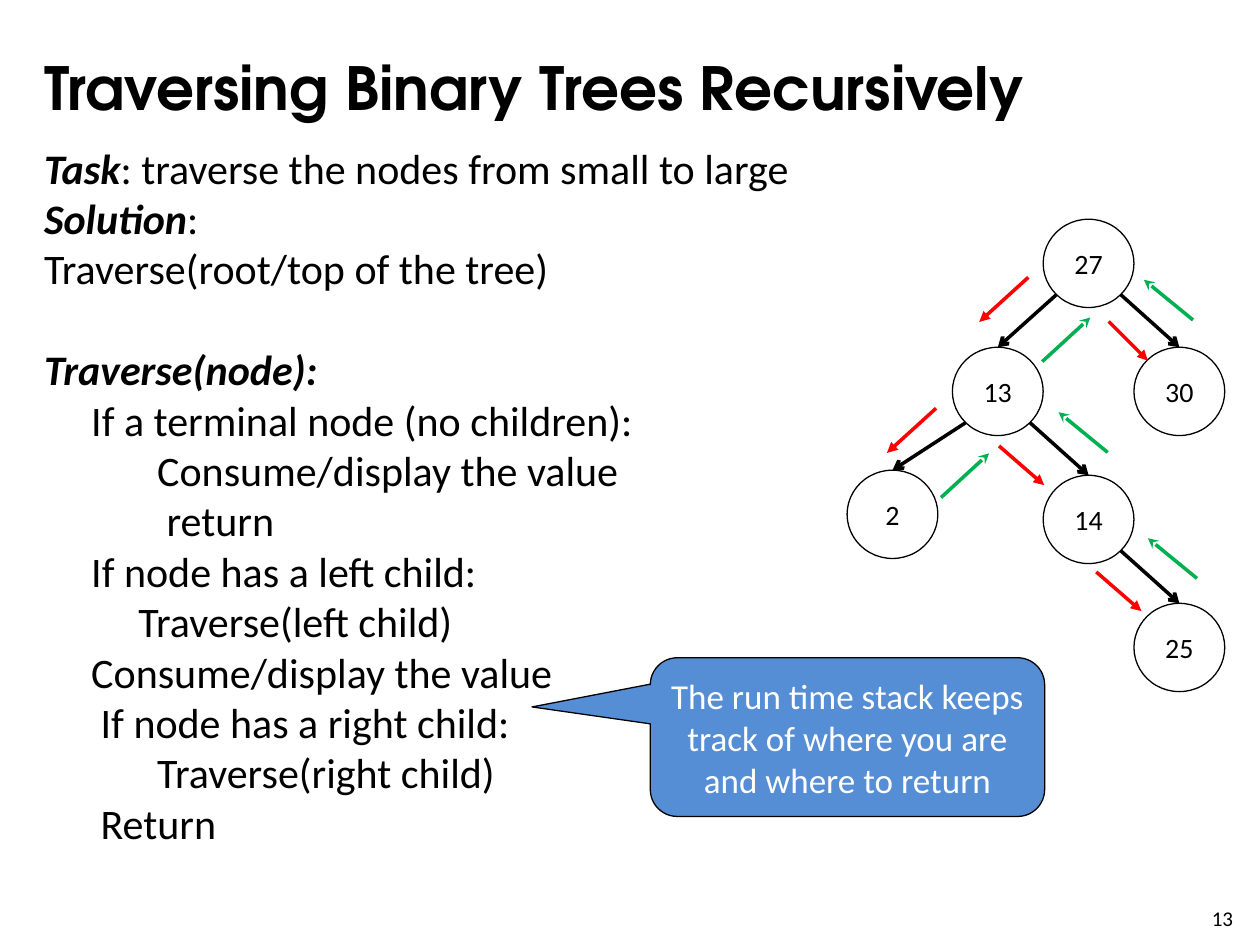
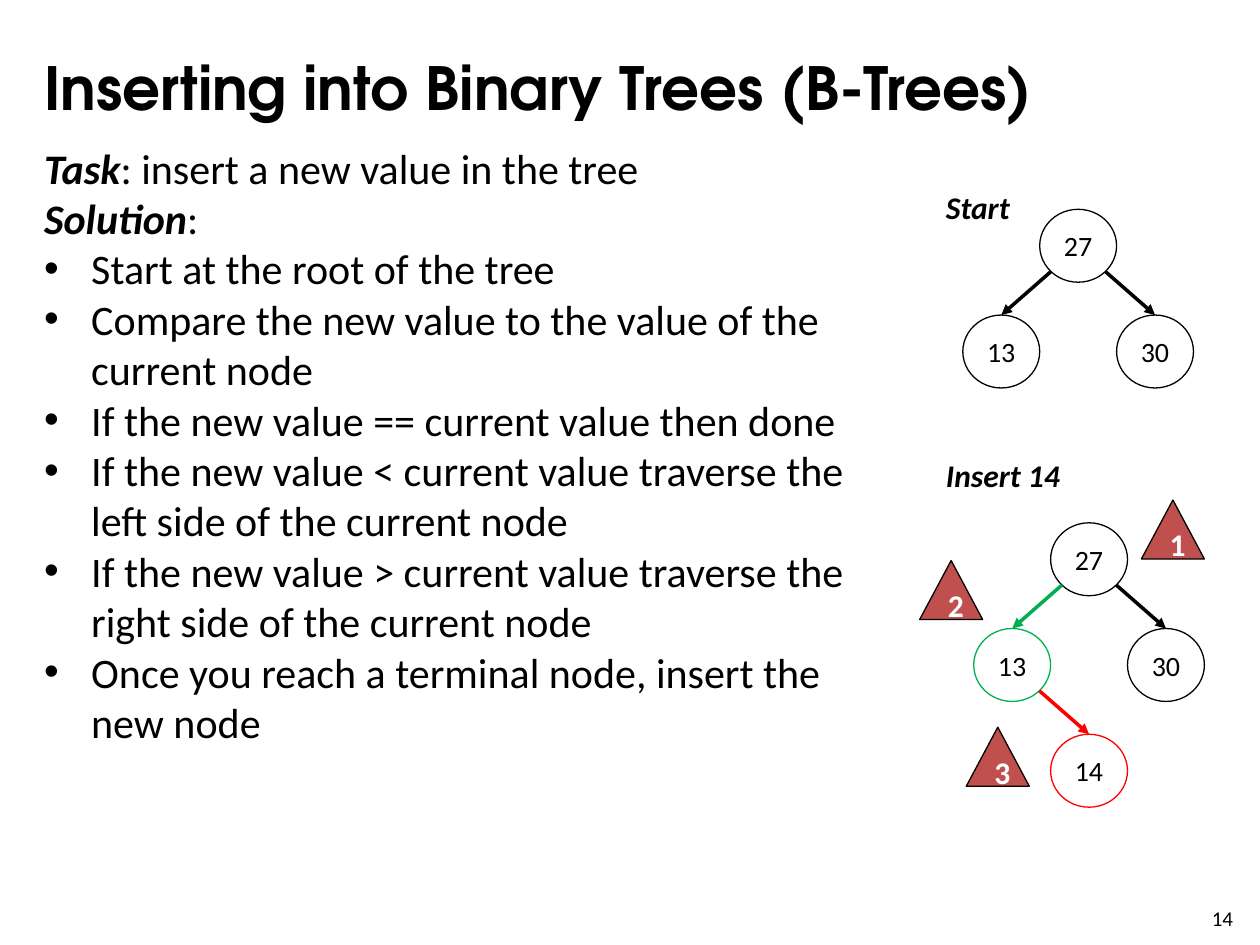
import pptx
import pptx.util
from lxml import etree
from pptx.dml.color import RGBColor
from pptx.enum.shapes import MSO_CONNECTOR, MSO_SHAPE
from pptx.enum.text import MSO_ANCHOR, PP_ALIGN
from pptx.oxml.ns import qn
from pptx.util import Cm, Pt

BLACK = RGBColor(0x00, 0x00, 0x00)
WHITE = RGBColor(0xFF, 0xFF, 0xFF)
RED = RGBColor(0xFF, 0x00, 0x00)
GREEN = RGBColor(0x00, 0xB0, 0x50)
CALLOUT_BLUE = RGBColor(0x55, 0x8E, 0xD5)
STEP_RED = RGBColor(0xC0, 0x50, 0x4D)

TITLE_FONT = "TeX Gyre Adventor"
BODY_FONT = "Calibri"
BULLET_INDENT = 0.95
CODE_INDENT = 0.19
LEVEL_GAP = 1.45  # distance between tree levels, in node heights
DIAGONAL = 0.5 ** 0.5


def write(frame, text, *, lead="", size=24, color=BLACK, font=BODY_FONT, bold=False,
          italic=False, align=PP_ALIGN.LEFT, indent=0, before=0, bullet=False):
    """Append a paragraph; lead is a bold italic opening run."""
    first = frame.paragraphs[0]
    paragraph = frame.add_paragraph() if first.runs else first
    properties = paragraph._p.get_or_add_pPr()
    properties.set("marL", str(Cm(indent)))
    if bullet:
        properties.set("indent", str(-Cm(indent)))
        etree.SubElement(properties, qn("a:buFont")).set("typeface", "Arial")
        etree.SubElement(properties, qn("a:buChar")).set("char", "•")
    paragraph.alignment = align
    if before:
        paragraph.space_before = Pt(before)
    for words, strong in ((lead, True), (text, False)):
        if words:
            run = paragraph.add_run()
            run.text = words
            run.font.name, run.font.size = font, Pt(size)
            run.font.bold, run.font.italic = bold or strong, italic or strong
            run.font.color.rgb = color


def add_text_area(slide, left, top, width, height, wrap=True):
    frame = slide.shapes.add_textbox(Cm(left), Cm(top), Cm(width), Cm(height)).text_frame
    frame.word_wrap = wrap
    return frame


def add_outlined(slide, preset, left, top, width, height, text, *,
                 fill=None, line=BLACK, inset=0.25, **text_format):
    """Add a preset shape with a thin outline and centred text."""
    shape = slide.shapes.add_shape(preset, Cm(left), Cm(top), Cm(width), Cm(height))
    shape.shadow.inherit = False
    if fill is None:
        shape.fill.background()
    else:
        shape.fill.solid()
        shape.fill.fore_color.rgb = fill
    shape.line.color.rgb = line
    shape.line.width = Pt(0.75)
    frame = shape.text_frame
    frame.word_wrap = True
    frame.vertical_anchor = MSO_ANCHOR.MIDDLE
    frame.margin_left = frame.margin_right = Cm(inset)
    write(frame, text, align=PP_ALIGN.CENTER, **text_format)
    return shape


def add_arrow(slide, start, end, color, head):
    arrow = slide.shapes.add_connector(MSO_CONNECTOR.STRAIGHT, *start, *end)
    arrow.line.color.rgb = color
    arrow.line.width = Pt(2)
    etree.SubElement(arrow.line._get_or_add_ln(), qn("a:tailEnd")).set("type", head)
    etree.SubElement(arrow._element.spPr, qn("a:effectLst"))
    return arrow


def add_tree(slide, root, node_size, places, edges, head, colors=None):
    """Draw nodes at (column, level) from the root, then the edges between them.

    An edge is (parent, child, side), side being -1 for left and 1 for right.
    Nodes in colors, and the edges leading to them, take that colour.
    """
    colors = colors or {}
    width, height = node_size
    nodes = {}
    for value, (column, level) in places.items():
        nodes[value] = add_outlined(
            slide, MSO_SHAPE.OVAL, root[0] + column * width,
            root[1] + level * LEVEL_GAP * height, width, height, value,
            line=colors.get(value, BLACK), inset=0, size=16)
    for parent, child, side in edges:
        above, below = nodes[parent], nodes[child]
        start = (int(above.left + above.width * (1 + side * DIAGONAL) / 2),
                 int(above.top + above.height * (1 + DIAGONAL) / 2))
        end = (below.left + below.width // 2, below.top)
        arrow = add_arrow(slide, start, end, colors.get(child, BLACK), head)
        arrow.end_connect(below, 0)


def add_moves(slide, starts, step, color, head):
    """Draw one arrow per start, all with the same step."""
    for x, y in starts:
        add_arrow(slide, (Cm(x), Cm(y)), (Cm(x + step[0]), Cm(y + step[1])), color, head)


def add_slide(deck, title, number):
    slide = deck.slides.add_slide(deck.slide_layouts[6])
    heading = add_text_area(slide, 0.64, 0.76, 22.02, 1.98)
    heading.vertical_anchor = MSO_ANCHOR.MIDDLE
    write(heading, title, size=34, font=TITLE_FONT, bold=True)
    write(add_text_area(slide, 24.18, 18.14, 1.02, 0.61, wrap=False), str(number), size=12)
    return slide


def add_task(slide, task):
    """Start the body text and return its frame."""
    body = add_text_area(slide, 0.64, 2.74, 16.74, 14.63)
    write(body, f": {task}", lead="Task")
    write(body, ":", lead="Solution")
    return body


def build_traversal(deck):
    slide = add_slide(deck, "Traversing Binary Trees Recursively", 13)
    body = add_task(slide, "traverse the nodes from small to large")
    write(body, "Traverse(root/top of the tree)")
    write(body, "", lead="Traverse(node):", before=28.8)
    for depth, step in (
            (5, "If a terminal node (no children):"),
            (12, "Consume/display the value"),
            (13, "return"),
            (5, "If node has a left child:"),
            (10, "Traverse(left child)"),
            (5, "Consume/display the value"),
            (6, "If node has a right child:"),
            (12, "Traverse(right child)"),
            (6, "Return")):
        write(body, step, indent=depth * CODE_INDENT)

    places = {"27": (0, 0), "13": (-1, 1), "30": (1, 1), "2": (-2.16, 1.96),
              "14": (0, 2), "25": (1, 3)}
    edges = (("27", "13", -1), ("27", "30", 1), ("13", "2", -1),
             ("13", "14", 1), ("14", "25", 1))
    add_tree(slide, (21.03, 4.42), (1.83, 1.78), places, edges, "arrow")

    add_moves(slide, [(20.73, 5.59), (18.87, 8.23)], (-0.99, 0.9), RED, "triangle")
    add_moves(slide, [(20.14, 8.99), (22.1, 11.53)], (0.91, 0.79), RED, "triangle")
    add_moves(slide, [(22.35, 6.48)], (0.79, 0.79), RED, "triangle")
    add_moves(slide, [(18.97, 10.03), (21.01, 7.29)], (0.97, -0.89), GREEN, "stealth")
    add_moves(slide, [(24.13, 11.66), (22.33, 9.12), (24.05, 6.45)], (-0.99, -0.81),
              GREEN, "stealth")

    callout = add_outlined(
        slide, MSO_SHAPE.ROUNDED_RECTANGULAR_CALLOUT, 13.11, 13.26, 7.95, 3.2,
        "The run time stack keeps track of where you are and where to return",
        fill=CALLOUT_BLUE, size=20, color=WHITE)
    for index, value in enumerate((-0.8, -0.19, 0.17)):
        callout.adjustments[index] = value


def build_insertion(deck):
    slide = add_slide(deck, "Inserting into Binary Trees (B-Trees)", 14)
    body = add_task(slide, "insert a new value in the tree")
    for step in (
            "Start at the root of the tree",
            "Compare the new value to the value of the current node",
            "If the new value == current value then done",
            "If the new value < current value traverse the left side of the current node",
            "If the new value > current value traverse the right side of the current node",
            "Once you reach a terminal node, insert the new node"):
        write(body, step, indent=BULLET_INDENT, bullet=True)

    node_size = (1.55, 1.47)
    places = {"27": (0, 0), "13": (-1, 1), "30": (1, 1)}
    edges = [("27", "13", -1), ("27", "30", 1)]
    add_tree(slide, (20.96, 4.22), node_size, places, edges, "triangle")
    add_tree(slide, (21.18, 10.54), node_size, {**places, "14": (0, 2)},
             edges + [("13", "14", 1)], "triangle", {"13": GREEN, "14": RED})

    for label, top in (("Start", 3.66), ("Insert 14", 9.07)):
        write(add_text_area(slide, 18.82, top, 2.84, 1.02, wrap=False), label,
              size=18, bold=True, italic=True)
    for step, (left, top) in enumerate(((23.01, 10.08), (18.54, 11.3), (19.48, 14.66)), 1):
        add_outlined(slide, MSO_SHAPE.ISOSCELES_TRIANGLE, left, top, 1.27, 1.19, str(step),
                     fill=STEP_RED, size=18, color=WHITE, bold=True)


def main():
    deck = pptx.Presentation()
    deck.slide_width, deck.slide_height = Cm(25.4), Cm(19.05)
    build_traversal(deck)
    build_insertion(deck)
    deck.save("out.pptx")


if __name__ == "__main__":
    main()
